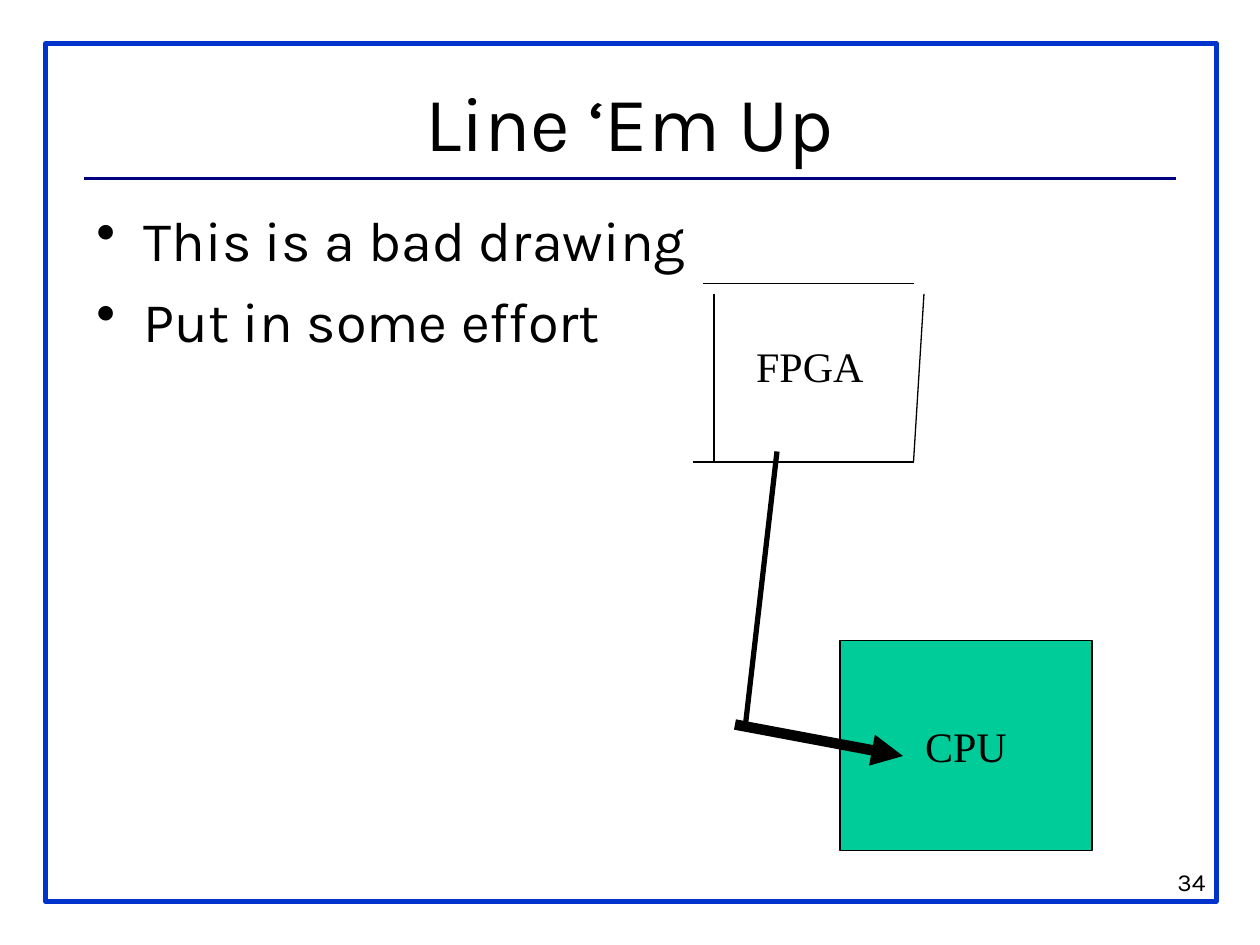
from lxml import etree
from pptx import Presentation
from pptx.dml.color import RGBColor
from pptx.enum.shapes import MSO_CONNECTOR, MSO_SHAPE
from pptx.enum.text import MSO_ANCHOR, MSO_AUTO_SIZE, PP_ALIGN
from pptx.oxml.ns import qn
from pptx.util import Pt

BLACK = RGBColor(0, 0, 0)
FRAME_BLUE = RGBColor(0x00, 0x33, 0xCC)
RULE_NAVY = RGBColor(0x00, 0x00, 0x80)
CPU_GREEN = RGBColor(0x00, 0xCC, 0x99)
HEADING_FONT = "Karla"
DIAGRAM_FONT = "Times New Roman"
STRAIGHT = MSO_CONNECTOR.STRAIGHT
RECTANGLE = MSO_SHAPE.RECTANGLE
MIDDLE, TOP = MSO_ANCHOR.MIDDLE, MSO_ANCHOR.TOP
LEFT, CENTER, RIGHT = PP_ALIGN.LEFT, PP_ALIGN.CENTER, PP_ALIGN.RIGHT
NO_AUTOFIT = MSO_AUTO_SIZE.NONE


def set_text(box, text, size, font, align=LEFT, anchor=TOP, wrap=True):
    frame = box.text_frame
    frame.text = text
    frame.auto_size = NO_AUTOFIT
    frame.word_wrap = wrap
    frame.vertical_anchor = anchor
    for para in frame.paragraphs:
        para.alignment = align
        for span in para.runs:
            span.font.size = Pt(size)
            span.font.name = font
            span.font.color.rgb = BLACK


def add_text(page, bounds, text, size, font, align=LEFT, wrap=True):
    box = page.shapes.add_textbox(*map(Pt, bounds))
    set_text(box, text, size, font, align, wrap=wrap)
    return box


def add_title(page, bounds, text):
    title = page.shapes.title
    title.left, title.top, title.width, title.height = map(Pt, bounds)
    set_text(title, text, 44, HEADING_FONT, CENTER, MIDDLE)


def add_bullets(page, bounds, items):
    box = add_text(page, bounds, "\n".join(items), 32, HEADING_FONT)
    for para in box.text_frame.paragraphs:
        para.space_before = Pt(7.5)
        properties = para._p.get_or_add_pPr()
        properties.set("marL", str(Pt(27)))
        properties.set("indent", str(Pt(-27)))
        etree.SubElement(properties, qn("a:buChar"), char="•")


def add_rectangle(page, bounds, line_color, line_width, fill_color=None):
    box = page.shapes.add_shape(RECTANGLE, *map(Pt, bounds))
    box.shadow.inherit = False
    if fill_color is None:
        box.fill.background()
    else:
        box.fill.solid()
        box.fill.fore_color.rgb = fill_color
    box.line.color.rgb = line_color
    box.line.width = Pt(line_width)
    return box


def add_line(page, start, end, width, color=BLACK, arrow=False):
    line = page.shapes.add_connector(STRAIGHT, *map(Pt, start + end))
    line.line.color.rgb = color
    line.line.width = Pt(width)
    if arrow:
        etree.SubElement(line.line._get_or_add_ln(), qn("a:tailEnd"), type="triangle")
    etree.SubElement(line._element.spPr, qn("a:effectLst"))


def main():
    deck = Presentation()
    deck.slide_width, deck.slide_height = Pt(720), Pt(540)
    page = deck.slides.add_slide(deck.slide_layouts[5])

    add_rectangle(page, (26, 25, 669, 490), FRAME_BLUE, 3)
    add_line(page, (48, 102), (672, 102), 2, RULE_NAVY)
    add_text(page, (546, 492, 150, 36), "34", 14, HEADING_FONT, RIGHT)
    add_title(page, (48, 24, 624, 90), "Line ‘Em Up")
    add_bullets(page, (48, 114, 624, 378), ["This is a bad drawing", "Put in some effort"])

    fpga_sides = [
        ((408, 168), (408, 264)),
        ((402, 162), (522, 162)),
        ((528, 168), (522, 264)),
        ((522, 264), (396, 264)),
    ]
    for start, end in fpga_sides:
        add_line(page, start, end, 0.75)
    add_text(page, (425, 191, 75.6, 36), "FPGA", 24, DIAGRAM_FONT, wrap=False)

    cpu = add_rectangle(page, (480, 366, 144, 120), BLACK, 0.75, CPU_GREEN)
    set_text(cpu, "CPU", 24, DIAGRAM_FONT, CENTER, MIDDLE, wrap=False)

    add_line(page, (444, 258), (426, 414), 3)
    add_line(page, (420, 414), (516, 432), 6, arrow=True)
    deck.save("out.pptx")


if __name__ == "__main__":
    main()
